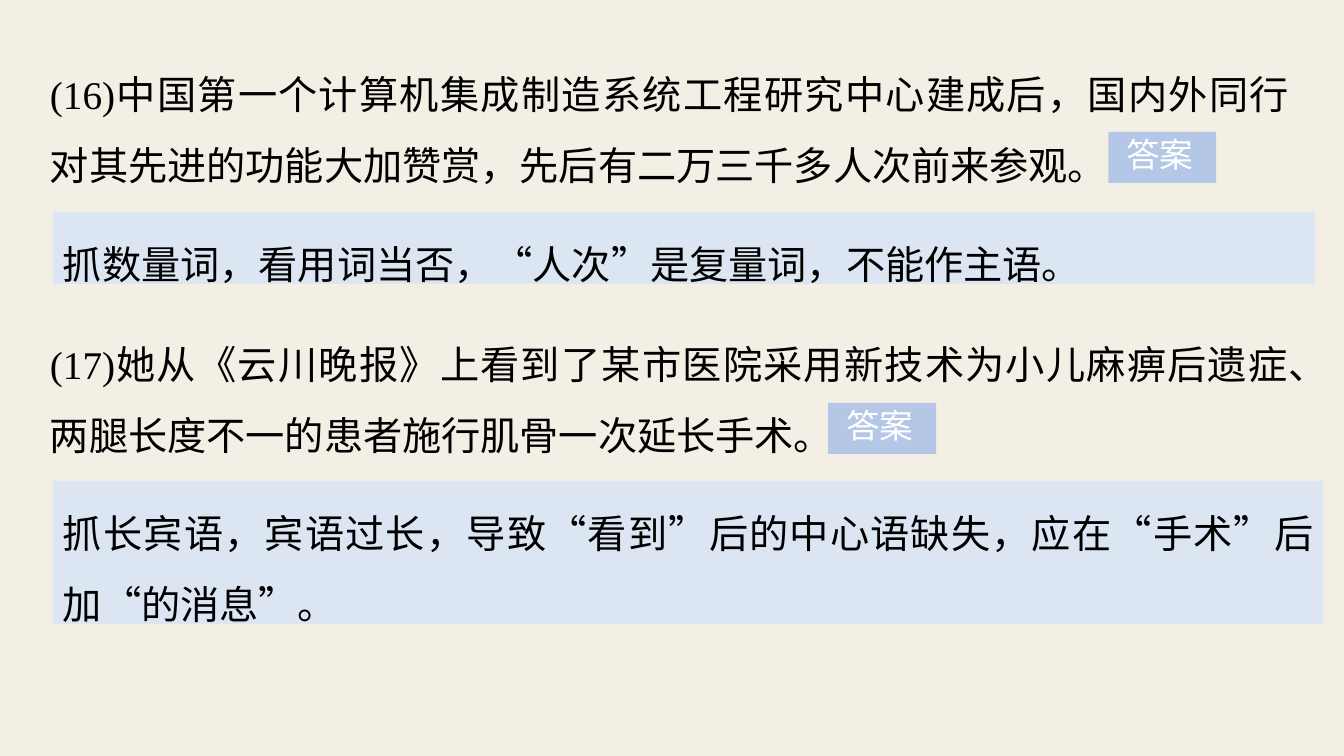
from itertools import groupby
from pptx import Presentation, util as u
from pptx.dml.color import RGBColor
from pptx.enum import shapes, text
from pptx.oxml.ns import qn

# Content: wording and box (left, top, width, height) in px
QUESTIONS = [
    ("(16)中国第一个计算机集成制造系统工程研究中心建成后，国内外同行对其先进的功能大加赞赏，先后有二万三千多人次前来参观。",
     (37, 40, 1265, 147)),
    ("(17)她从《云川晚报》上看到了某市医院采用新技术为小儿麻痹后遗症、两腿长度不一的患者施行肌骨一次延长手术。",
     (37, 310, 1265, 147)),
]
ANSWERS = [
    ("抓数量词，看用词当否，“人次”是复量词，不能作主语。", (53, 212, 1262, 72)),
    ("抓长宾语，宾语过长，导致“看到”后的中心语缺失，应在“手术”后加“的消息”。",
     (53, 481, 1270, 143)),
]
BUTTON = "答案"
BUTTON_BOXES = [(1108, 132, 108, 51), (828, 403, 108, 51)]

COLORS = {"page": "F3EFE5", "button": "B4C7E7", "answer": "DCE6F2",
          "ink": "000000", "white": "FFFFFF"}
CJK = "Noto Sans CJK SC"
PX = 9071  # EMU per px at 100.8 px to the inch


def rgb(name):
    return RGBColor.from_string(COLORS[name])


def add_box(slide, box, fill=None):
    box = [n * PX for n in box]
    if fill is None:
        return slide.shapes.add_textbox(*box)
    s = slide.shapes.add_shape(shapes.MSO_SHAPE.RECTANGLE, *box)
    s.shadow.inherit = False
    s.fill.solid()
    s.fill.fore_color.rgb = rgb(fill)
    s.line.fill.background()
    return s


def write(s, words, size=28, font="Times New Roman", color="ink",
          align=text.PP_ALIGN.JUSTIFY, spacing=1.5, inset=(10, 5)):
    tf = s.text_frame
    tf.word_wrap = True
    tf.vertical_anchor = text.MSO_ANCHOR.TOP
    tf.margin_left = tf.margin_right = inset[0] * PX
    tf.margin_top = tf.margin_bottom = inset[1] * PX
    p = tf.paragraphs[0]
    p.alignment = align
    p.line_spacing = spacing
    # Curly quotes take the Chinese font
    for quoted, chars in groupby(words, lambda c: c in "“”"):
        r = p.add_run()
        r.text = "".join(chars)
        r.font.size = u.Pt(size)
        r.font.name = CJK if quoted else font
        r.font.color.rgb = rgb(color)
        rPr = r.font._element
        rPr.set("lang", "zh-CN")
        ea = rPr.makeelement(qn("a:ea"), {"typeface": CJK})
        rPr.find(qn("a:latin")).addnext(ea)


def main():
    prs = Presentation()
    prs.slide_width, prs.slide_height = u.Inches(13.33), u.Inches(7.5)
    slide = prs.slides.add_slide(prs.slide_layouts[6])
    slide.background.fill.solid()
    slide.background.fill.fore_color.rgb = rgb("page")

    # Each question with its button and answer
    for question, button_box, answer in zip(QUESTIONS, BUTTON_BOXES, ANSWERS):
        write(add_box(slide, question[1]), question[0], inset=(13, 7))
        write(add_box(slide, button_box, "button"), BUTTON, size=24, font="Arial",
              color="white", align=text.PP_ALIGN.LEFT, spacing=1.0, inset=(18, 2))
        write(add_box(slide, answer[1], "answer"), answer[0])

    prs.save("out.pptx")


if __name__ == "__main__":
    main()
